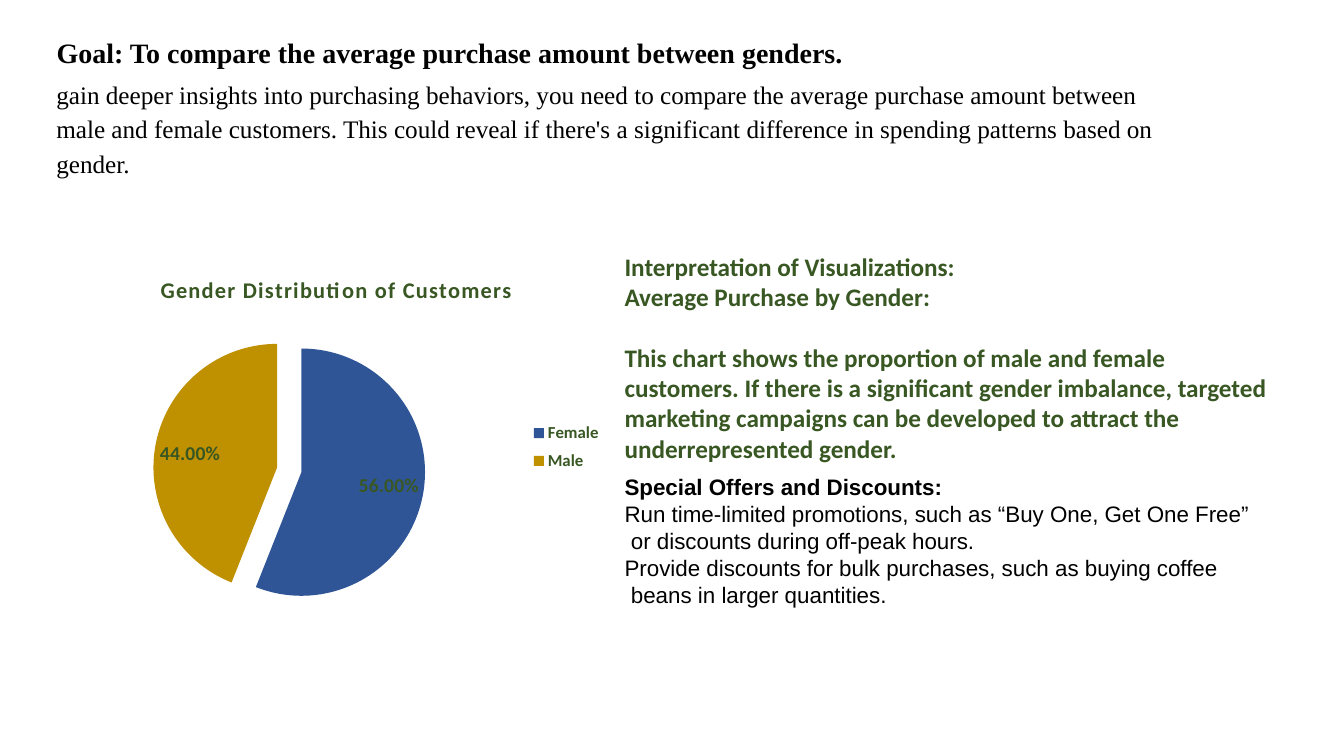
from lxml import etree
from pptx import Presentation
from pptx.chart.data import CategoryChartData
from pptx.dml.color import RGBColor
from pptx.enum.chart import XL_CHART_TYPE, XL_LABEL_POSITION, XL_LEGEND_POSITION
from pptx.enum.text import MSO_ANCHOR, PP_ALIGN
from pptx.oxml import parse_xml
from pptx.oxml.ns import nsdecls, qn
from pptx.util import Cm, Pt

PIE = XL_CHART_TYPE.PIE
BEST_FIT = XL_LABEL_POSITION.BEST_FIT
LEGEND_RIGHT = XL_LEGEND_POSITION.RIGHT
TOP = MSO_ANCHOR.TOP
LEFT = PP_ALIGN.LEFT
TITLE_ONLY = 5

BLACK = "000000"
GREEN = "385723"
SERIF, SANS, BODY = "Times New Roman", "Arial", "Calibri"
GENDERS = [("Female", 0.56, "2F5597", 0), ("Male", 0.44, "BF9000", 20)]


def color(value):
    return RGBColor.from_string(value)


def style_font(font, name, size, value, bold=False):
    font.name = name
    font.size = Pt(size)
    font.bold = bold
    font.color.rgb = color(value)


def place(shape, left, top, width, height):
    shape.left, shape.top = Cm(left), Cm(top)
    shape.width, shape.height = Cm(width), Cm(height)


def prepare_frame(shape):
    frame = shape.text_frame
    frame.word_wrap = True
    frame.vertical_anchor = TOP
    return frame


def add_box(slide, left, top, width, height):
    box = slide.shapes.add_textbox(Cm(left), Cm(top), Cm(width), Cm(height))
    return prepare_frame(box)


def add_paragraph(frame, text, name, size, value, bold=False):
    first = frame.paragraphs[0]
    paragraph = frame.add_paragraph() if first.runs else first
    paragraph.alignment = LEFT
    run = paragraph.add_run()
    run.text = text
    style_font(run.font, name, size, value, bold)
    return paragraph


def space_out(paragraph):
    paragraph.line_spacing = 1.15
    paragraph.space_before = Pt(0)
    paragraph.space_after = Pt(8)


def set_layout(element, x, y, width=None, height=None, inner=False):
    for old in element.findall(qn("c:layout")):
        element.remove(old)
    layout = parse_xml(f"<c:layout {nsdecls('c')}><c:manualLayout/></c:layout>")
    settings = [("layoutTarget", "inner" if inner else None),
                ("xMode", "edge"), ("yMode", "edge"),
                ("x", x), ("y", y), ("w", width), ("h", height)]
    for tag, value in settings:
        if value is not None:
            etree.SubElement(layout[0], qn(f"c:{tag}")).set("val", str(value))
    return layout


def add_chart_title(chart):
    title = chart.chart_title
    paragraph = title.text_frame.paragraphs[0]
    run = paragraph.add_run()
    run.text = "Gender Distribution of Customers"
    style_font(run.font, BODY, 16, GREEN, True)
    run.font._element.set("spc", "100")
    title.include_in_layout = False
    element = title._element
    layout = set_layout(element, 0.25, 0.28)
    element.find(qn("c:tx")).addnext(layout)


def add_legend(chart):
    chart.has_legend = True
    legend = chart.legend
    legend.position = LEGEND_RIGHT
    legend.include_in_layout = False
    style_font(legend.font, BODY, 12, GREEN, True)
    layout = set_layout(legend._element, 0.76, 0.51, 0.12, 0.1)
    legend._element.find(qn("c:legendPos")).addnext(layout)


def add_gender_pie(slide):
    data = CategoryChartData(number_format="0.00%")
    data.categories = [gender[0] for gender in GENDERS]
    data.add_series("Series 1", [gender[1] for gender in GENDERS])
    chart = slide.shapes.add_chart(
        PIE, Cm(-0.58), Cm(2.36), Cm(18.11), Cm(15.9), data).chart
    style_font(chart.font, BODY, 10, "002060")
    add_chart_title(chart)
    add_legend(chart)

    plot = chart.plots[0]
    plot.vary_by_categories = True
    series = plot.series[0]
    for index, (_, _, fill, explosion) in enumerate(GENDERS):
        point = series.points[index]
        point.format.fill.solid()
        point.format.fill.fore_color.rgb = color(fill)
        point.format.line.fill.background()
        if explosion:
            node = parse_xml(
                f'<c:explosion {nsdecls("c")} val="{explosion}"/>')
            data_point = series._element.findall(qn("c:dPt"))[index]
            data_point.find(qn("c:spPr")).addprevious(node)

    labels = series.data_labels
    labels.show_value = True
    labels.show_percentage = False
    labels.show_legend_key = False
    labels.number_format = "0.00%"
    labels.number_format_is_linked = False
    labels.position = BEST_FIT
    style_font(labels.font, BODY, 14, GREEN, True)

    plot_area = plot._element.getparent()
    plot_area.insert(
        0, set_layout(plot_area, 0.279, 0.404, 0.345, 0.392, inner=True))


def add_goal(slide):
    title = slide.shapes.title
    place(title, 1.17, 0.64, 30.99, 1.19)
    space_out(add_paragraph(
        prepare_frame(title),
        "Goal: To compare the average purchase amount between genders.",
        SERIF, 20, BLACK, True))
    space_out(add_paragraph(
        add_box(slide, 1.17, 1.75, 28.58, 2.87),
        "gain deeper insights into purchasing behaviors, you need to compare "
        "the average purchase amount between male and female customers. This "
        "could reveal if there's a significant difference in spending "
        "patterns based on gender.",
        SERIF, 18, BLACK))


def add_interpretation(slide):
    frame = add_box(slide, 15.49, 6.2, 16.94, 5.64)
    for heading in ("Interpretation of Visualizations:",
                    "Average Purchase by Gender:"):
        add_paragraph(frame, heading, BODY, 18, GREEN, True)
    finding = add_paragraph(
        frame,
        "This chart shows the proportion of male and female customers. If "
        "there is a significant gender imbalance, targeted marketing "
        "campaigns can be developed to attract the underrepresented gender.",
        BODY, 18, GREEN, True)
    finding.space_before = Pt(22)


def add_offers(slide):
    frame = add_box(slide, 15.49, 11.81, 16.66, 4.45)
    add_paragraph(frame, "Special Offers and Discounts:", SANS, 16, BLACK, True)
    offers = [
        ("Run time-limited promotions, such as “Buy One, Get One Free”",
         "or discounts during off-peak hours."),
        ("Provide discounts for bulk purchases, such as buying coffee",
         "beans in larger quantities."),
    ]
    for opening, continuation in offers:
        add_paragraph(frame, opening, SANS, 16, BLACK)
        paragraph = add_paragraph(frame, continuation, SANS, 16, BLACK)
        properties = paragraph._p.get_or_add_pPr()
        properties.set("marL", str(Cm(0.16)))
        properties.set("indent", "0")


def main():
    presentation = Presentation()
    presentation.slide_width = Cm(33.87)
    presentation.slide_height = Cm(19.05)
    slide = presentation.slides.add_slide(
        presentation.slide_layouts[TITLE_ONLY])
    add_goal(slide)
    add_interpretation(slide)
    add_offers(slide)
    add_gender_pie(slide)
    presentation.save("out.pptx")


if __name__ == "__main__":
    main()
